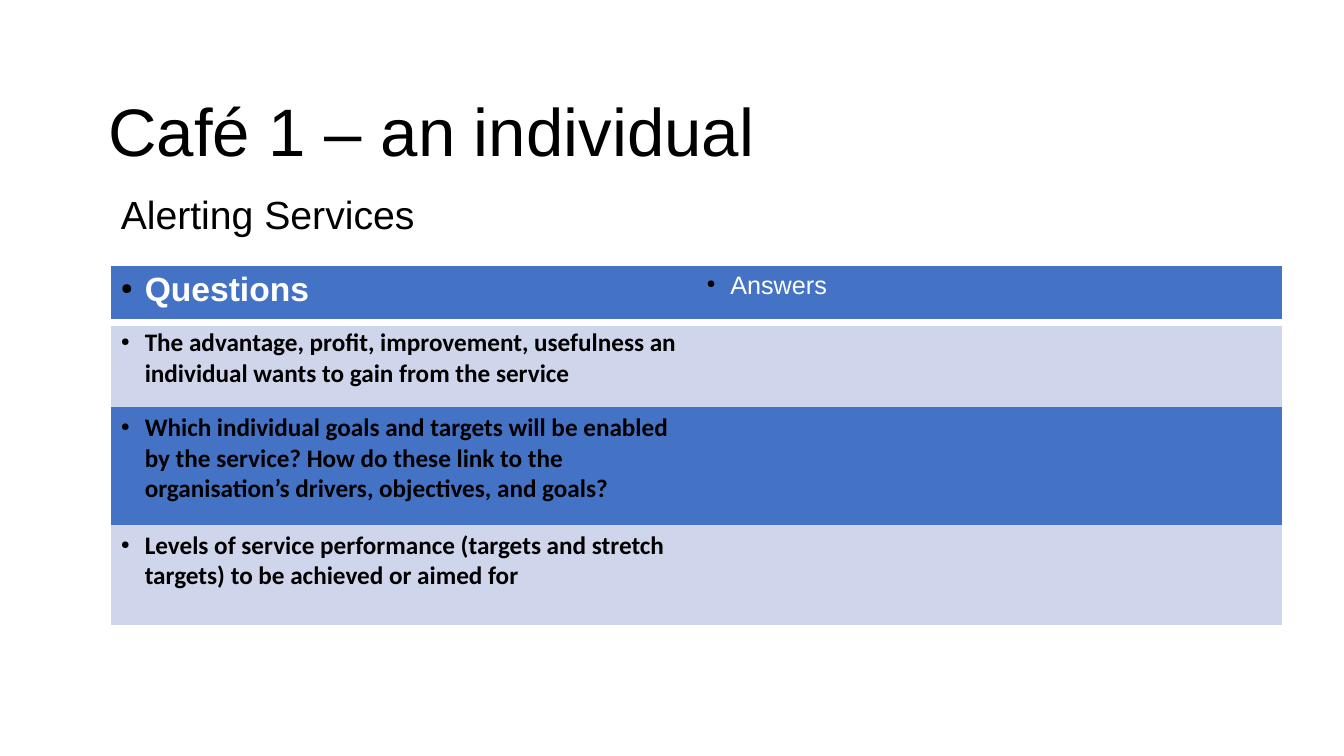
from dataclasses import dataclass

from lxml import etree
from pptx import Presentation
from pptx import util as u
from pptx.dml.color import RGBColor
from pptx.enum import text
from pptx.oxml import ns

HUES = {"ink": "000000", "white": "FFFFFF", "blue": "4472C4", "pale": "CFD5EA"}
NO_STYLE = "{2D5ABB26-0587-4C30-8999-92F81FD0307C}"
INDENT = 17


@dataclass
class Label:
    words: str
    size: float
    hue: str = "ink"
    font: str = "Arial"
    bold: bool = False
    after: float = 0


@dataclass
class Row:
    height: float
    fill: str
    cells: list[Label]


@dataclass
class Box:
    left: float
    top: float
    width: float
    height: float
    anchor: text.MSO_ANCHOR
    label: Label


def ask(words: str) -> Label:
    """Describe one question of the table body."""
    return Label(words, 18, font="Calibri", bold=True, after=6)


BOXES = [
    Box(70.3, 31.7, 774.7, 94.3, text.MSO_ANCHOR.BOTTOM,
        Label("Café 1 – an individual", 48)),
    Box(79.2, 136.1, 774.7, 43.9, text.MSO_ANCHOR.TOP,
        Label("Alerting Services", 28)),
]
ROWS = [
    Row(40.3, "blue", [Label("Questions", 24, "white", bold=True, after=6),
                       Label("Answers", 18, "white")]),
    Row(60.5, "pale", [ask("The advantage, profit, improvement, usefulness an "
                           "individual wants to gain from the service")]),
    Row(84.2, "blue", [ask("Which individual goals and targets will be enabled "
                           "by the service? How do these link to the "
                           "organisation’s drivers, objectives, and goals?")]),
    Row(71.3, "pale", [ask("Levels of service performance (targets and stretch "
                           "targets) to be achieved or aimed for")]),
]


def paint(hue: str) -> RGBColor:
    return RGBColor.from_string(HUES[hue])


def add_node(parent, tag: str, **attrs: str):
    return etree.SubElement(parent, ns.qn(tag), attrs)


def write(para, label: Label) -> None:
    run = para.add_run()
    run.text = label.words
    font = run.font
    font.name, font.size, font.bold = label.font, u.Pt(label.size), label.bold
    font.color.rgb = paint(label.hue)


def add_box(slide, box: Box) -> None:
    shape = slide.shapes.add_textbox(
        *map(u.Pt, (box.left, box.top, box.width, box.height)))
    frame = shape.text_frame
    frame.word_wrap = True
    frame.vertical_anchor = box.anchor
    para = frame.paragraphs[0]
    para.line_spacing = 0.9
    write(para, box.label)


def add_dot(para) -> None:
    """Give the paragraph a small black bullet with a hanging indent."""
    props = para._p.get_or_add_pPr()
    props.set("marL", str(u.Pt(INDENT)))
    props.set("indent", str(-u.Pt(INDENT)))
    add_node(add_node(props, "a:buClr"), "a:srgbClr", val=HUES["ink"])
    add_node(props, "a:buSzPct", val="45000")
    add_node(props, "a:buChar", char="●")


def rule_off(cell) -> None:
    """Draw the thick white line under a header cell."""
    props = cell._tc.get_or_add_tcPr()
    line = add_node(props, "a:lnB", w=str(u.Pt(6)))
    add_node(add_node(line, "a:solidFill"), "a:srgbClr", val=HUES["white"])
    props.insert(0, line)


def add_grid(slide, left: float, top: float, width: float) -> None:
    high = sum(row.height for row in ROWS)
    grid = slide.shapes.add_table(
        len(ROWS), 2, *map(u.Pt, (left, top, width, high))).table
    grid._tbl.tblPr.find(ns.qn("a:tableStyleId")).text = NO_STYLE
    for line, row in zip(grid.rows, ROWS):
        line.height = u.Pt(row.height)
        for cell in line.cells:
            cell.fill.solid()
            cell.fill.fore_color.rgb = paint(row.fill)
        for cell, label in zip(line.cells, row.cells):
            para = cell.text_frame.paragraphs[0]
            add_dot(para)
            para.space_after = u.Pt(label.after)
            write(para, label)
    for cell in grid.rows[0].cells:
        rule_off(cell)


def main() -> None:
    deck = Presentation()
    deck.slide_width, deck.slide_height = u.Pt(960), u.Pt(540)
    slide = deck.slides.add_slide(deck.slide_layouts[6])
    for box in BOXES:
        add_box(slide, box)
    add_grid(slide, 79.2, 190.1, 836.6)
    deck.save("out.pptx")


if __name__ == "__main__":
    main()
